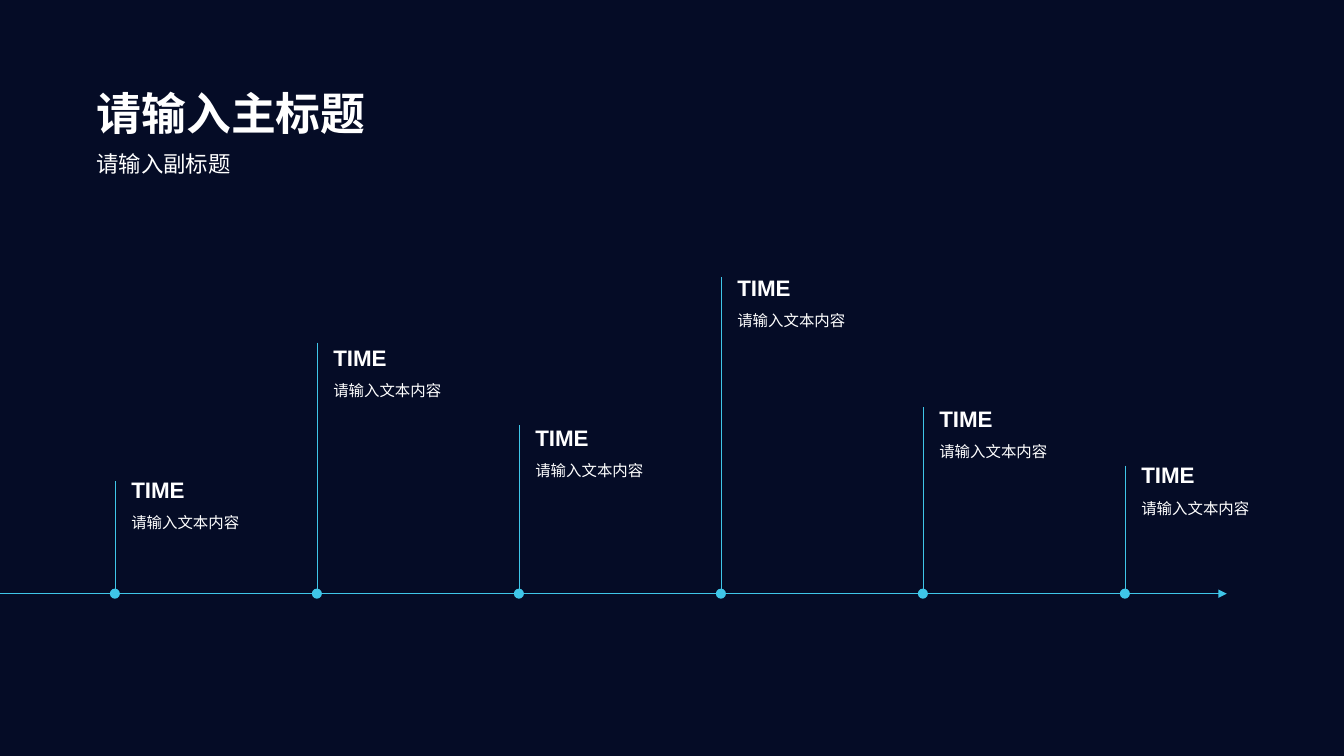
from lxml import etree
from pptx import Presentation
from pptx.dml.color import RGBColor
from pptx.enum.shapes import MSO_CONNECTOR, MSO_SHAPE
from pptx.enum.text import MSO_AUTO_SIZE
from pptx.oxml.ns import qn
from pptx.util import Inches, Pt

STRAIGHT = MSO_CONNECTOR.STRAIGHT
OVAL = MSO_SHAPE.OVAL
GROW = MSO_AUTO_SIZE.SHAPE_TO_FIT_TEXT

# Shares of the slide's width and height, in percent
FIRST_X, STEP_X = 8.55, 15.03
AXIS_Y, AXIS_END = 78.53, 91.28
DOT_W, DOT_H = 0.75, 1.33
LABEL_GAP = 0.48

# Top of each stem and of its label
MILESTONES = [
    (63.6, 62.27), (45.33, 44.8), (56.27, 55.47),
    (36.67, 35.6), (53.87, 52.93), (61.6, 60.4),
]

TITLE = {"size": Pt(32), "bold": True}
SUBTITLE = {"size": Pt(16), "bold": False}
TIME = {"size": Pt(16), "bold": True}
BODY = {"size": Pt(11), "bold": False}


def color(value):
    return RGBColor.from_string(value)


class Deck:
    background, accent, ink, font = "050C26", "3FC6E8", "FFFFFF", "Arial"

    def __init__(self):
        self.prs = Presentation()
        self.prs.slide_width, self.prs.slide_height = Inches(13.33), Inches(7.5)
        self.s = self.prs.slides.add_slide(self.prs.slide_layouts[6])
        fill = self.s.background.fill
        fill.solid()
        fill.fore_color.rgb = color(self.background)

    def x(self, share):
        return round(self.prs.slide_width * share / 100)

    def y(self, share):
        return round(self.prs.slide_height * share / 100)

    def text(self, words, left, top, width, height, style, wrap=False):
        box = self.s.shapes.add_textbox(
            self.x(left), self.y(top), self.x(width), self.y(height))
        tf = box.text_frame
        tf.word_wrap, tf.auto_size = wrap, GROW
        r = tf.paragraphs[0].add_run()
        r.text = words
        for name, value in {"name": self.font, **style}.items():
            setattr(r.font, name, value)
        r.font.color.rgb = color(self.ink)

    def line(self, x1, y1, x2, y2, arrow=False):
        sp = self.s.shapes.add_connector(
            STRAIGHT, self.x(x1), self.y(y1), self.x(x2), self.y(y2))
        sp.line.color.rgb = color(self.accent)
        sp.line.width = Pt(0.5)
        if arrow:
            etree.SubElement(sp.line._ln, qn("a:tailEnd"), type="triangle")
        etree.SubElement(sp._element.spPr, qn("a:effectLst"))

    def dot(self, x, y):
        sp = self.s.shapes.add_shape(
            OVAL, self.x(x - DOT_W / 2), self.y(y - DOT_H / 2),
            self.x(DOT_W), self.y(DOT_H))
        sp.shadow.inherit = False
        sp.fill.solid()
        sp.fill.fore_color.rgb = color(self.accent)
        sp.line.fill.background()


def main():
    deck = Deck()

    # Headings
    deck.text("请输入主标题", 6.45, 10.67, 21.68, 8.53, TITLE)
    deck.text("请输入副标题", 6.45, 19.2, 11.63, 4.93, SUBTITLE)

    # Time axis
    deck.line(0, AXIS_Y, AXIS_END, AXIS_Y, arrow=True)

    # Milestones
    for i, (stem_top, label_top) in enumerate(MILESTONES):
        x = FIRST_X + i * STEP_X
        deck.dot(x, AXIS_Y)
        deck.line(x, stem_top, x, AXIS_Y - DOT_H / 2)
        left = x + LABEL_GAP
        deck.text("请输入文本内容", left, label_top + 4.93, 10.73, 3.87, BODY, wrap=True)
        deck.text("TIME", left, label_top, 5.55, 4.93, TIME)

    deck.prs.save("out.pptx")


if __name__ == "__main__":
    main()
